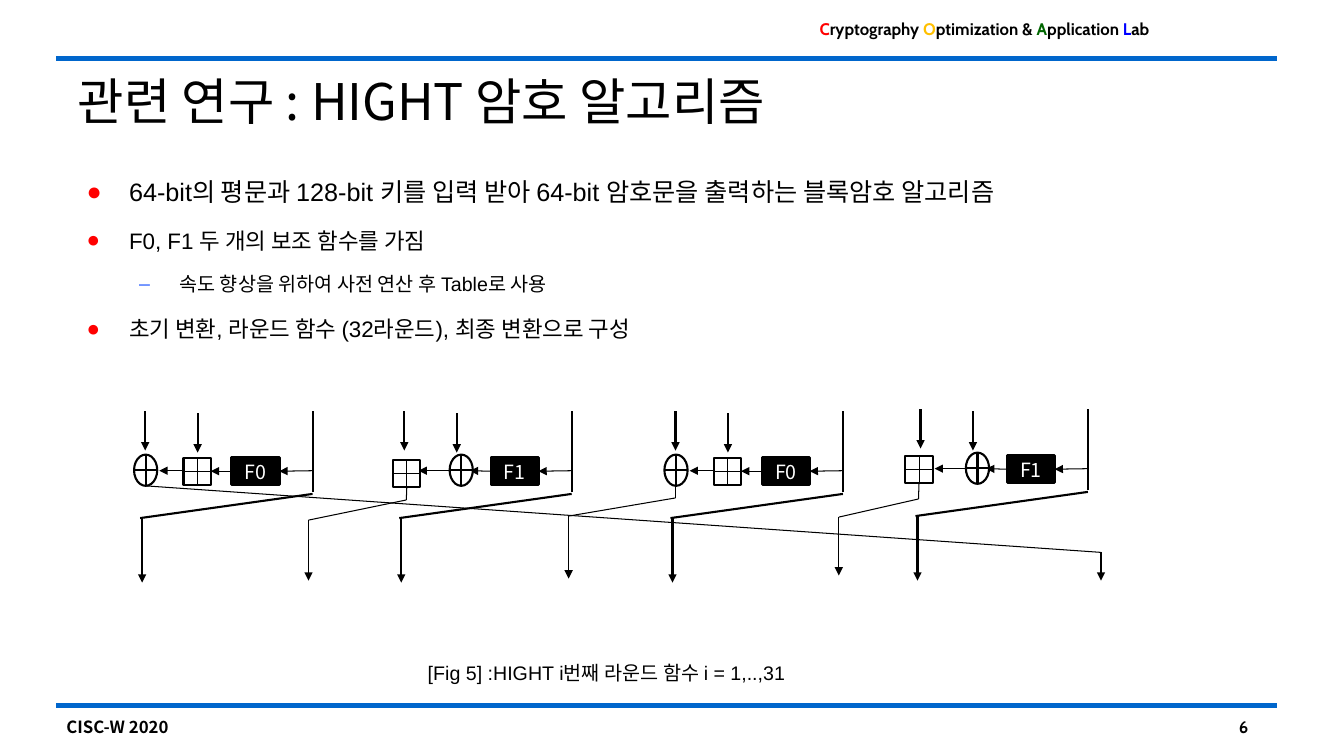
from lxml import etree
from pptx import Presentation
from pptx.dml.color import RGBColor
from pptx.enum.shapes import MSO_CONNECTOR as CONNECTOR, MSO_SHAPE as SHAPE
from pptx.enum.text import MSO_ANCHOR as ANCHOR, MSO_AUTO_SIZE as AUTO_SIZE, PP_ALIGN as ALIGN
from pptx.oxml.ns import qn
from pptx.util import Inches, Pt

KOREAN, LATIN, HEADER = "Noto Sans CJK KR", "Arial", "Cabin"
BLACK, WHITE, RED, BLUE = "000000", "FFFFFF", "FF0000", "0066CC"
THIN, THICK = 0.75, 1.5
LEFT_SIDE, BOTTOM_SIDE, RIGHT_SIDE = 1, 2, 3
GATE_HEIGHT = {"xor": 0.31, "add": 0.27}
GATE_WIDTH = {"xor": 0.23, "add": 0.27}


def color(value):
    return RGBColor.from_string(value)


def format_run(run, size, font, fill=BLACK, bold=False):
    run.font.size = Pt(size)
    run.font.name = font
    run.font.bold = bold
    run.font.color.rgb = color(fill)
    east_asian = etree.SubElement(run.font._element, qn("a:ea"))
    east_asian.set("typeface", KOREAN)


def place(shape, box):
    shape.left, shape.top, shape.width, shape.height = map(Inches, box)


def add_line(slide, start, end, weight=THIN, arrow=False, fill=BLACK):
    line = slide.shapes.add_connector(
        CONNECTOR.STRAIGHT, *map(Inches, (*start, *end)))
    line.line.width = Pt(weight)
    line.line.color.rgb = color(fill)
    if arrow:
        tail = etree.SubElement(line.line._get_or_add_ln(), qn("a:tailEnd"))
        tail.set("type", "triangle")
    etree.SubElement(line._element.spPr, qn("a:effectLst"))
    return line


def add_box(slide, kind, box, fill, weight):
    shape = slide.shapes.add_shape(kind, *map(Inches, box))
    shape.shadow.inherit = False
    shape.fill.solid()
    shape.fill.fore_color.rgb = color(fill)
    shape.line.color.rgb = color(BLACK)
    shape.line.width = Pt(weight)
    return shape


def add_label(slide, box, parts, size, font, bold=False, align=ALIGN.LEFT):
    """Add one line of text made of (text, colour) parts."""
    frame = slide.shapes.add_textbox(*map(Inches, box)).text_frame
    frame.word_wrap = True
    paragraph = frame.paragraphs[0]
    paragraph.alignment = align
    for text, fill in parts:
        run = paragraph.add_run()
        run.text = text
        format_run(run, size, font, fill, bold)


def add_page_frame(slide):
    for y in (7, 0.58):
        add_line(slide, (0.56, y), (12.67, y), 3, fill=BLUE)
    add_label(slide, (0.56, 7.06, 2.54, 0.3), [("CISC-W 2020", BLACK)], 12, KOREAN, True)
    add_label(slide, (12.19, 7.06, 0.67, 0.3), [("6", BLACK)], 12, HEADER, True)
    lab_name = [("C", RED), ("ryptography ", BLACK), ("O", "FFC000"),
                ("ptimization & ", BLACK), ("A", "006600"),
                ("pplication ", BLACK), ("L", "0000FF"), ("ab", BLACK)]
    add_label(slide, (8.03, 0.14, 4.22, 0.3), lab_name, 12, HEADER, True)


def fill_title(title, box, text):
    place(title, box)
    frame = title.text_frame
    frame.text = text
    frame.auto_size = AUTO_SIZE.NONE
    frame.vertical_anchor = ANCHOR.MIDDLE
    frame.paragraphs[0].alignment = ALIGN.LEFT
    format_run(frame.paragraphs[0].runs[0], 36, KOREAN)


def set_bullet(paragraph, level):
    margin, indent, mark, fill = [(0.5, -0.42, "●", RED), (1, -0.4, "–", "3366FF")][level]
    paragraph.level = level
    properties = paragraph._p.get_or_add_pPr()
    properties.set("marL", str(Inches(margin)))
    properties.set("indent", str(Inches(indent)))
    bullet_color = etree.SubElement(properties, qn("a:buClr"))
    etree.SubElement(bullet_color, qn("a:srgbClr")).set("val", fill)
    etree.SubElement(properties, qn("a:buChar")).set("char", mark)


def fill_body(body, box, items):
    place(body, box)
    frame = body.text_frame
    frame.auto_size = AUTO_SIZE.NONE
    for index, (text, level, size) in enumerate(items):
        paragraph = frame.add_paragraph() if index else frame.paragraphs[0]
        paragraph.text = text
        set_bullet(paragraph, level)
        paragraph.line_spacing = 1.5
        paragraph.space_before = Pt((4.8, 4.4)[level] if index else 0)
        format_run(paragraph.runs[0], size, LATIN)


def add_gate(slide, kind, left, top):
    """Draw an XOR (circled plus) or an addition (boxed plus) gate."""
    width, height = GATE_WIDTH[kind], GATE_HEIGHT[kind]
    outline = SHAPE.OVAL if kind == "xor" else SHAPE.RECTANGLE
    gate = add_box(slide, outline, (left, top, width, height), WHITE, THICK)
    weight = THICK if kind == "xor" else THIN
    middle_x, middle_y = left + width / 2, top + height / 2
    add_line(slide, (left, middle_y), (left + width, middle_y), weight)
    add_line(slide, (middle_x, top), (middle_x, top + height), weight)
    return gate


def add_round_block(slide, rail, top, name, first, second):
    """Draw one two-branch block left of its rail and return its first gate.

    Each gate is (kind, distance left of the rail, distance below the top).
    """
    for offset, drop in ((1.66, 0), (1.14, 0.02)):
        x, y = rail - offset, top + drop
        add_line(slide, (x, y), (x, y + 0.39), THICK, arrow=True)
    add_line(slide, (rail, top), (rail, top + 0.8), THICK)
    add_line(slide, (rail, top + 0.82), (rail - 1.71, top + 1.06), THICK)
    add_line(slide, (rail - 1.69, top + 1.06), (rail - 1.69, top + 1.7), THICK, arrow=True)

    function = add_box(slide, SHAPE.RECTANGLE, (rail - 0.8, top + 0.46, 0.47, 0.27), BLACK, 2)
    frame = function.text_frame
    frame.text = name
    frame.word_wrap = False
    frame.vertical_anchor = ANCHOR.MIDDLE
    frame.paragraphs[0].alignment = ALIGN.CENTER
    format_run(frame.paragraphs[0].runs[0], 14, KOREAN, WHITE)

    flow = top + 0.59
    add_line(slide, (rail, flow), (rail - 0.33, flow), arrow=True).end_connect(function, RIGHT_SIDE)
    to_second = add_line(slide, (rail - 0.8, flow), (rail - 1.01, flow), arrow=True)
    to_second.begin_connect(function, LEFT_SIDE)
    add_line(slide, (rail - 1.19, flow), (rail - 1.52, flow), arrow=True)
    gates = [add_gate(slide, kind, rail - offset, top + drop)
             for kind, offset, drop in (first, second)]
    if second[0] == "add":
        to_second.end_connect(gates[1], RIGHT_SIDE)
    return gates[0]


def add_crossing(slide, gate, kind, source, knee, output, end):
    """Lead a gate's result down a stem and across to the output on its left."""
    stem = add_line(slide, source, knee)
    if kind == "add":
        stem.begin_connect(gate, BOTTOM_SIDE)
    add_line(slide, knee, output)
    add_line(slide, output, (output[0], end), arrow=True)


def add_round_diagram(slide):
    xor, add = ("xor", 1.77, 0.43), ("add", 1.28, 0.46)
    right_xor = ("xor", 1.21, 0.43)
    blocks = [(3.1, 4.08, "F0", xor, add),
              (5.67, 4.08, "F1", ("add", 1.77, 0.48), right_xor),
              (8.36, 4.08, "F0", xor, add),
              (10.79, 4.06, "F1", ("add", 1.81, 0.46), right_xor)]
    gates = [add_round_block(slide, *block) for block in blocks]

    add_line(slide, (1.44, 4.82), (10.92, 5.48))
    add_line(slide, (10.92, 5.48), (10.92, 5.76), arrow=True)
    crossings = [("add", (4.03, 4.83), (4.03, 4.96), (3.06, 5.16), 5.76),
                 ("xor", (6.7, 4.81), (6.7, 4.94), (5.64, 5.12), 5.74),
                 ("add", (9.11, 4.8), (9.11, 4.95), (8.32, 5.13), 5.71)]
    for gate, crossing in zip(gates[1:], crossings):
        add_crossing(slide, gate, *crossing)
    add_label(slide, (3.83, 6.51, 4.37, 0.34),
              [("[Fig 5] :HIGHT i번째 라운드 함수 i = 1,..,31", BLACK)],
              14, LATIN, align=ALIGN.CENTER)


def main():
    presentation = Presentation()
    presentation.slide_width, presentation.slide_height = Inches(13.33), Inches(7.5)
    slide = presentation.slides.add_slide(presentation.slide_layouts[1])
    add_page_frame(slide)
    fill_title(slide.shapes.title, (0.67, 0.6, 12.67, 0.79), "관련 연구 : HIGHT 암호 알고리즘")
    fill_body(slide.placeholders[1], (0.68, 1.55, 12.33, 5.23), [
        ("64-bit의 평문과 128-bit 키를 입력 받아 64-bit 암호문을 출력하는 블록암호 알고리즘", 0, 18),
        ("F0, F1 두 개의 보조 함수를 가짐", 0, 16),
        ("속도 향상을 위하여 사전 연산 후 Table로 사용", 1, 14),
        ("초기 변환, 라운드 함수 (32라운드), 최종 변환으로 구성", 0, 16),
    ])
    add_round_diagram(slide)
    presentation.save("out.pptx")


if __name__ == "__main__":
    main()
